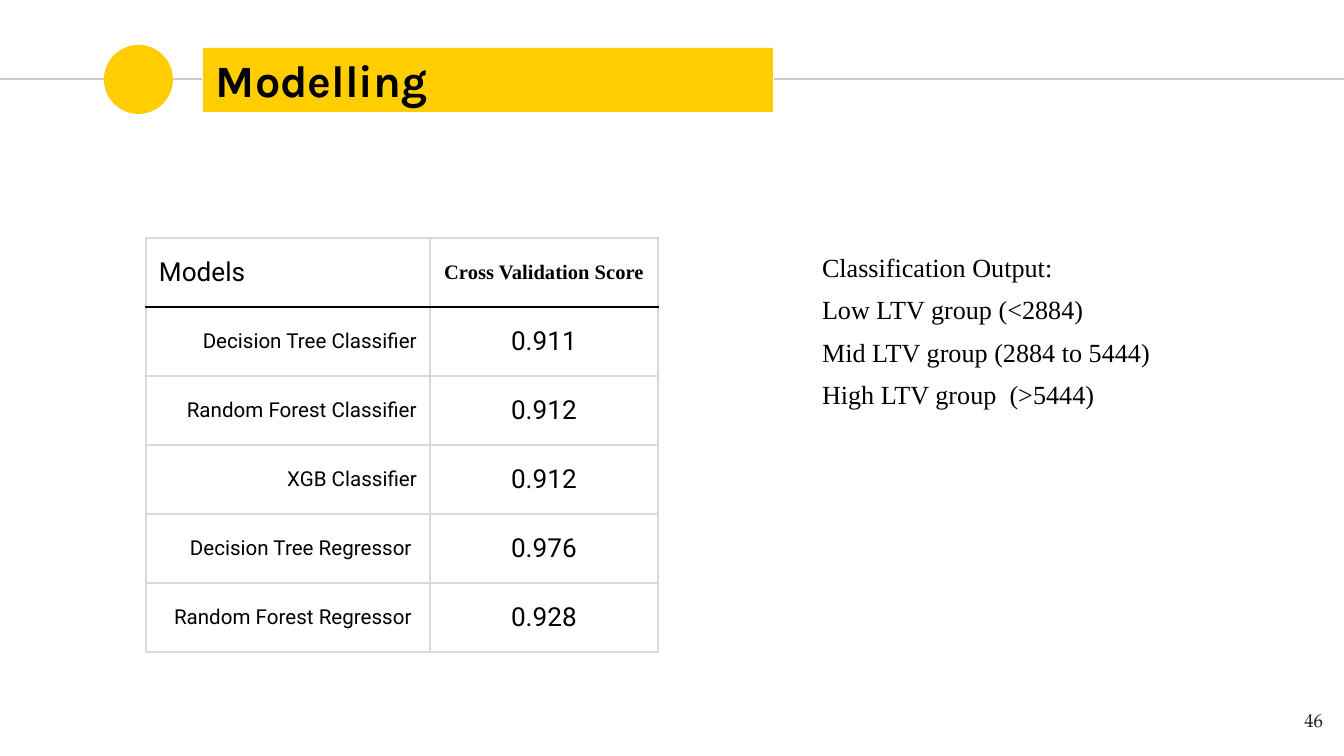
from typing import NamedTuple

from lxml import etree
from pptx import Presentation
from pptx import util as u
from pptx.dml.color import RGBColor
from pptx.enum import shapes, text
from pptx.oxml import ns

EMU_PER_PX = 914400 / 134.4
YELLOW = RGBColor(0xFF, 0xCD, 0x00)
BLACK = RGBColor(0x00, 0x00, 0x00)
INK = RGBColor(0x1D, 0x1D, 0x1B)
RULE_GREY = RGBColor(0xCC, 0xCC, 0xCC)
GRID_GREY = RGBColor(0xD9, 0xD9, 0xD9)
LEFT, CENTER, RIGHT = text.PP_ALIGN.LEFT, text.PP_ALIGN.CENTER, text.PP_ALIGN.RIGHT
MIDDLE, TOP = text.MSO_ANCHOR.MIDDLE, text.MSO_ANCHOR.TOP


class Box(NamedTuple):
    left: int
    top: int
    width: int
    height: int


class Style(NamedTuple):
    font: str
    size: int
    bold: bool = False
    align: text.PP_ALIGN = LEFT
    color: RGBColor = BLACK


class Score(NamedTuple):
    model: str
    value: str


TITLE = Style("Karla", 24, bold=True)
BODY = Style("Times New Roman", 14)
PAGE_NUMBER = Style("TeX Gyre Pagella", 10, align=RIGHT, color=INK)
HEADER_STYLES = (Style("Roboto", 14), Style("Times New Roman", 11, True, CENTER))
SCORE_STYLES = (Style("Roboto", 11, align=RIGHT), Style("Roboto", 14, align=CENTER))

HEADER = Score("Models", "Cross Validation Score")
SCORES = [
    Score("Decision Tree Classifier", "0.911"),
    Score("Random Forest Classifier", "0.912"),
    Score("XGB Classifier", "0.912"),
    Score("Decision Tree Regressor ", "0.976"),
    Score("Random Forest Regressor ", "0.928"),
]
OUTPUT_LINES = [
    "Classification Output:",
    "Low LTV group (<2884)",
    "Mid LTV group (2884 to 5444)",
    "High LTV group  (>5444)",
]
COLUMN_WIDTHS = (284, 228)
ROW_HEIGHT = 69


def px(value: int) -> u.Emu:
    return u.Emu(round(value * EMU_PER_PX))


def emu(box: Box) -> list[u.Emu]:
    return [px(value) for value in box]


def write(frame, lines: list[str], style: Style, anchor=TOP,
          space_before: int = 0, indent: int = 0) -> None:
    frame.word_wrap = True
    frame.vertical_anchor = anchor
    frame.margin_left = frame.margin_right = px(13)
    frame.margin_top = frame.margin_bottom = px(13)
    frame.text = "\n".join(lines)
    for index, paragraph in enumerate(frame.paragraphs):
        format_paragraph(paragraph, style)
        if index:
            paragraph.space_before = u.Pt(space_before)
        if indent:
            properties = paragraph._p.get_or_add_pPr()
            properties.set("marL", str(px(indent)))
            properties.set("indent", "0")


def format_paragraph(paragraph, style: Style) -> None:
    paragraph.alignment = style.align
    for run in paragraph.runs:
        run.font.name = style.font
        run.font.size = u.Pt(style.size)
        run.font.bold = style.bold
        run.font.color.rgb = style.color


def add_rule(slide, start: int, end: int, y: int) -> None:
    line = slide.shapes.add_connector(
        shapes.MSO_CONNECTOR.STRAIGHT, px(start), px(y), px(end), px(y))
    line.line.color.rgb = RULE_GREY
    line.line.width = u.Pt(0.75)
    etree.SubElement(line._element.spPr, ns.qn("a:effectLst"))


def add_yellow(slide, kind, box: Box):
    shape = slide.shapes.add_shape(kind, *emu(box))
    shape.shadow.inherit = False
    shape.fill.solid()
    shape.fill.fore_color.rgb = YELLOW
    shape.line.fill.background()
    return shape


def add_text(slide, box: Box, lines: list[str], style: Style, **layout) -> None:
    write(slide.shapes.add_textbox(*emu(box)).text_frame, lines, style, **layout)


def set_borders(cell, top: RGBColor, bottom: RGBColor) -> None:
    properties = cell._tc.get_or_add_tcPr()
    sides = {"lnL": GRID_GREY, "lnR": GRID_GREY, "lnT": top, "lnB": bottom}
    for position, (side, color) in enumerate(sides.items()):
        border = etree.Element(ns.qn(f"a:{side}"), w=str(u.Pt(0.75)))
        fill = etree.SubElement(border, ns.qn("a:solidFill"))
        etree.SubElement(fill, ns.qn("a:srgbClr"), val=str(color))
        properties.insert(position, border)


def add_score_table(slide, left: int, top: int) -> None:
    rows = [HEADER, *SCORES]
    box = Box(left, top, sum(COLUMN_WIDTHS), ROW_HEIGHT * len(rows))
    table = slide.shapes.add_table(len(rows), len(COLUMN_WIDTHS), *emu(box)).table
    table.first_row = table.horz_banding = False
    for column, width in zip(table.columns, COLUMN_WIDTHS):
        column.width = px(width)
    for r, score in enumerate(rows):
        table.rows[r].height = px(ROW_HEIGHT)
        styles = SCORE_STYLES if r else HEADER_STYLES
        for c, (label, style) in enumerate(zip(score, styles)):
            cell = table.cell(r, c)
            cell.fill.background()
            cell.vertical_anchor = MIDDLE
            cell.margin_left = cell.margin_right = px(13)
            cell.margin_top = cell.margin_bottom = px(9)
            cell.text_frame.text = label
            format_paragraph(cell.text_frame.paragraphs[0], style)
            set_borders(cell, top=BLACK if r == 1 else GRID_GREY,
                        bottom=BLACK if r == 0 else GRID_GREY)


def main() -> None:
    presentation = Presentation()
    presentation.slide_width, presentation.slide_height = px(1344), px(756)
    slide = presentation.slides.add_slide(presentation.slide_layouts[6])

    add_rule(slide, 0, 202, 79)
    add_yellow(slide, shapes.MSO_SHAPE.OVAL, Box(104, 45, 69, 69))
    add_rule(slide, 774, 1344, 79)
    title = add_yellow(slide, shapes.MSO_SHAPE.RECTANGLE, Box(203, 48, 570, 64))
    write(title.text_frame, ["Modelling"], TITLE, anchor=MIDDLE)

    add_text(slide, Box(1255, 698, 81, 58), ["46"], PAGE_NUMBER)
    add_text(slide, Box(798, 238, 546, 430), OUTPUT_LINES, BODY,
             space_before=6, indent=11)
    add_score_table(slide, 146, 238)
    presentation.save("out.pptx")


if __name__ == "__main__":
    main()
